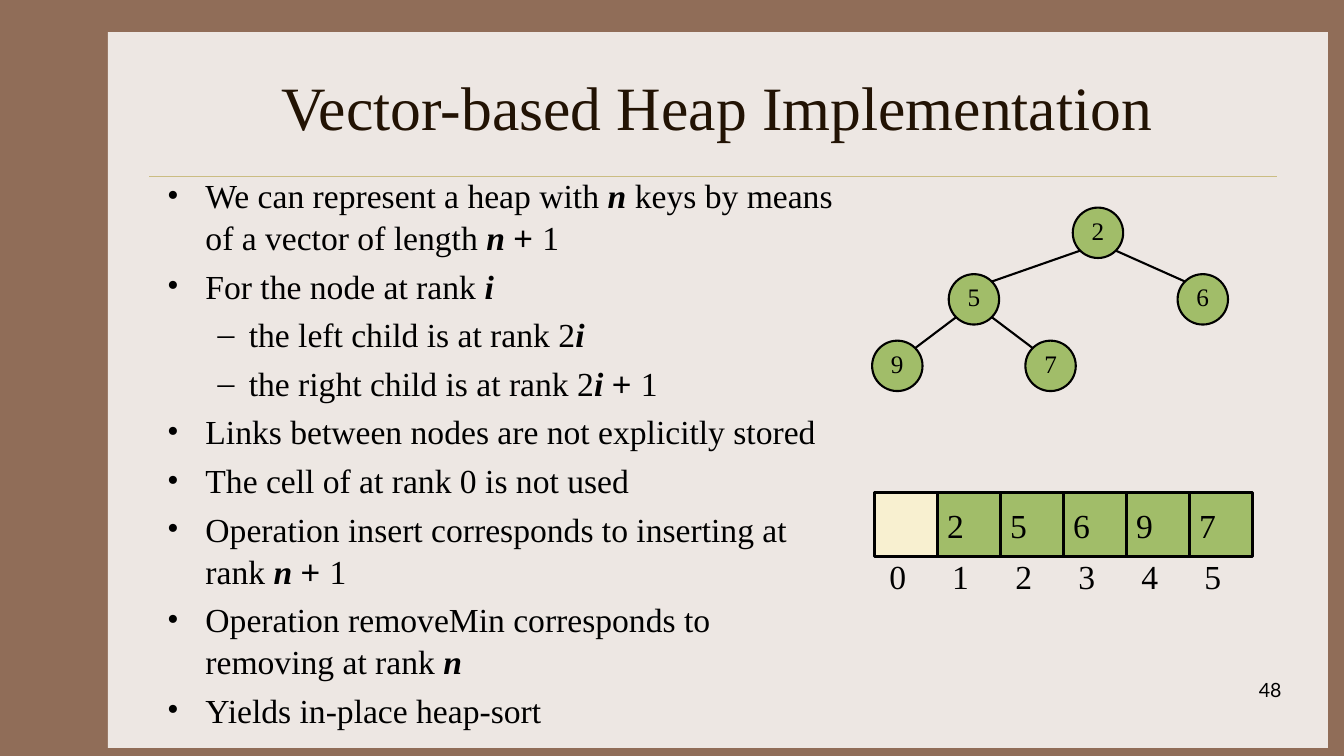
from dataclasses import dataclass
from lxml.etree import SubElement
from pptx import Presentation
from pptx.dml.color import RGBColor
from pptx.enum.shapes import MSO_CONNECTOR as Line, MSO_SHAPE as Preset
from pptx.enum.text import MSO_ANCHOR as Anchor, PP_ALIGN as Align
from pptx.oxml.ns import qn
from pptx.util import Inches, Pt


@dataclass(frozen=True)
class Theme:
    border: str = "906D58"
    panel: str = "EDE7E3"
    rule: str = "CBBD83"
    heading: str = "221304"
    ink: str = "000000"
    green: str = "A1BD69"
    cream: str = "F8F0D0"
    serif: str = "Times New Roman"
    sans: str = "Arial"
    number_font: str = "Lato"
    title_size: int = 44
    body_size: int = 24
    node_size: int = 18
    number_size: int = 14


THEME = Theme()

# Content: "*" encloses variables, "+ " is set in the sans font
TITLE = "Vector-based Heap Implementation"
PAGE_NUMBER = "48"
POINTS = [
    (0, "We can represent a heap with *n* keys by means of a vector of length *n *+ 1"),
    (0, "For the node at rank *i*"),
    (1, "the left child is at rank 2*i*"),
    (1, "the right child is at rank 2*i *+ 1"),
    (0, "Links between nodes are not explicitly stored"),
    (0, "The cell of at rank 0 is not used"),
    (0, "Operation insert corresponds to inserting at rank *n *+ 1"),
    (0, "Operation removeMin corresponds to removing at rank *n*"),
    (0, "Yields in-place heap-sort"),
]
HEAP = ["", "2", "5", "6", "9", "7"]  # rank 0 stays empty
LEVELS = [("•", 0.38, 0.38), ("–", 0.81, 0.31)]  # bullet, indent, hanging

# Layout in inches
WIDTH, HEIGHT = 13.33, 7.5
NODE_SIZE = 0.5
NODE_LEFT = {1: 10.64, 2: 9.41, 3: 11.68, 4: 8.65, 5: 10.17}
TREE_TOP, LEVEL_STEP = 2.06, 0.66
VECTOR_LEFT, VECTOR_TOP, CELL_WIDTH, CELL_HEIGHT = 8.67, 4.89, 0.625, 0.63

deck = Presentation()
deck.slide_width, deck.slide_height = Inches(WIDTH), Inches(HEIGHT)
slide = deck.slides.add_slide(deck.slide_layouts[6])
slide.background.fill.solid()
slide.background.fill.fore_color.rgb = RGBColor.from_string(THEME.border)


def add_runs(paragraph, text, *, size, font, color):
    for part_index, part in enumerate(text.split("*")):
        is_variable = part_index % 2 == 1
        pieces = [("+ ", THEME.sans), (part[2:], font)] if part.startswith("+ ") else [(part, font)]
        for piece, face in pieces:
            if piece:
                run = paragraph.add_run()
                run.text = piece
                run.font.name, run.font.size = face, Pt(size)
                run.font.bold = run.font.italic = is_variable
                run.font.color.rgb = RGBColor.from_string(color)


def write(shape, lines, *, size=THEME.body_size, font=THEME.serif, color=THEME.ink,
          align=Align.LEFT, anchor=Anchor.TOP, insets=(0.1, 0.05, 0.1, 0.05), bullets=False):
    frame = shape.text_frame
    frame.word_wrap, frame.vertical_anchor = True, anchor
    (frame.margin_left, frame.margin_top,
     frame.margin_right, frame.margin_bottom) = map(Inches, insets)
    for row, (level, text) in enumerate(lines):
        paragraph = frame.add_paragraph() if row else frame.paragraphs[0]
        paragraph.alignment = align
        if bullets:
            mark, indent, hanging = LEVELS[level]
            paragraph.level = level
            paragraph.line_spacing = 1.04
            paragraph.space_before = Pt(size * 0.2 if row else 0)
            properties = paragraph._p.get_or_add_pPr()
            properties.set("marL", str(Inches(indent)))
            properties.set("indent", str(-Inches(hanging)))
            SubElement(properties, qn("a:buFont"), typeface=THEME.serif)
            SubElement(properties, qn("a:buChar"), char=mark)
        add_runs(paragraph, text, size=size, font=font, color=color)


def text_box(left, top, width, height, lines, **style):
    box = slide.shapes.add_textbox(*map(Inches, (left, top, width, height)))
    write(box, lines, **style)


def block(preset, left, top, width, height, fill, line_width=0):
    shape = slide.shapes.add_shape(preset, *map(Inches, (left, top, width, height)))
    shape.shadow.inherit = False
    shape.fill.solid()
    shape.fill.fore_color.rgb = RGBColor.from_string(fill)
    if line_width:
        shape.line.color.rgb = RGBColor.from_string(THEME.ink)
        shape.line.width = Pt(line_width)
    else:
        shape.line.fill.background()
    return shape


def connect(x1, y1, x2, y2, color=THEME.ink, width=1.5):
    link = slide.shapes.add_connector(Line.STRAIGHT, *map(Inches, (x1, y1, x2, y2)))
    link.line.color.rgb = RGBColor.from_string(color)
    link.line.width = Pt(width)
    SubElement(link._element.spPr, qn("a:effectLst"))


# Panel, title, body and page number
block(Preset.RECTANGLE, 1.07, 0.32, 12.1, 7.1, THEME.panel)
connect(1.48, 1.75, 12.67, 1.75, THEME.rule, 0.25)
text_box(1.56, 0.42, 11.11, 1.25, [(0, TITLE)], size=THEME.title_size,
         color=THEME.heading, align=Align.CENTER, anchor=Anchor.MIDDLE)
text_box(1.56, 1.67, 6.86, 4.75, POINTS, bullets=True)
text_box(10.03, 6.68, 2.78, 0.5, [(0, PAGE_NUMBER)], size=THEME.number_size,
         font=THEME.number_font, align=Align.RIGHT)


# Heap tree: the parent of rank r is r // 2
def node_center(rank):
    depth = rank.bit_length() - 1
    return NODE_LEFT[rank] + NODE_SIZE / 2, TREE_TOP + depth * LEVEL_STEP + NODE_SIZE / 2


diagonal = NODE_SIZE / 2 * 0.5 ** 0.5
for rank in NODE_LEFT:
    x, y = node_center(rank)
    node = block(Preset.OVAL, x - NODE_SIZE / 2, y - NODE_SIZE / 2,
                 NODE_SIZE, NODE_SIZE, THEME.green, 1.5)
    write(node, [(0, HEAP[rank])], size=THEME.node_size, align=Align.CENTER,
          anchor=Anchor.MIDDLE, insets=(0, 0, 0, 0.05))
    if rank > 1:
        parent_x, parent_y = node_center(rank // 2)
        toward = diagonal if parent_x > x else -diagonal
        connect(parent_x - toward, parent_y + diagonal, x + toward, y - diagonal)

# Vector cells with their ranks below
for rank, key in enumerate(HEAP):
    left = VECTOR_LEFT + rank * CELL_WIDTH
    cell = block(Preset.RECTANGLE, left, VECTOR_TOP, CELL_WIDTH, CELL_HEIGHT,
                 THEME.green if key else THEME.cream, 2.25)
    if key:
        write(cell, [(0, key)], anchor=Anchor.MIDDLE)
    text_box(left + 0.15, VECTOR_TOP + CELL_HEIGHT, 0.3, 0.4, [(0, str(rank))],
             insets=(0, 0, 0, 0))

deck.save("out.pptx")
